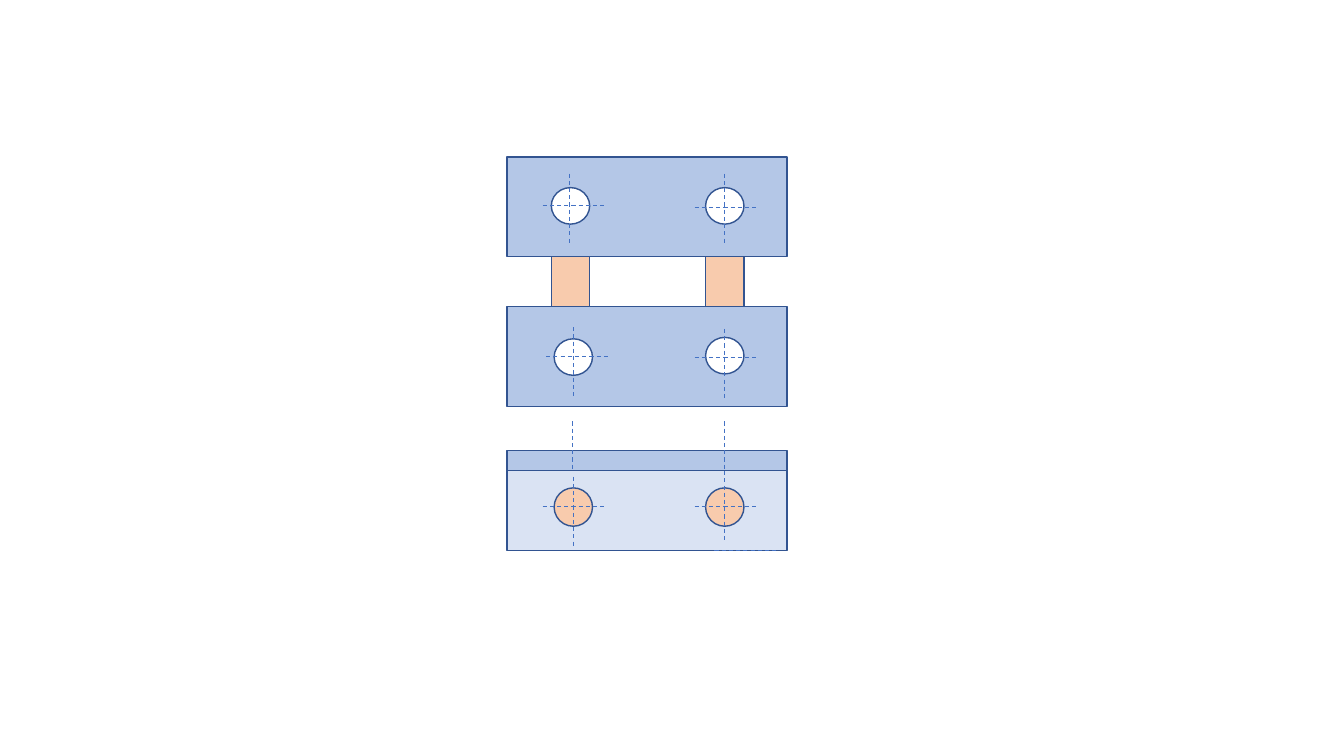
from lxml.etree import SubElement
from pptx import Presentation
from pptx.dml.color import RGBColor as RGB
from pptx.enum.dml import MSO_LINE_DASH_STYLE as Dash
from pptx.enum.shapes import MSO_CONNECTOR as Conn, MSO_SHAPE as Kind
from pptx.oxml.ns import qn
from pptx.util import Pt

# Colours
EDGE, AXIS = "325491", "4472C4"
BLUE, PALE, PEACH, WHITE = "B4C7E7", "DAE3F3", "F8CBAD", "FFFFFF"

# Shared measures in points
LEFT, WIDE, TALL = 362.2, 200, 71.3
COL1, COL2 = 393.8, 504    # left edges of the bars and holes
BORE, HIGH = 27.4, 26.1    # hole width and height
MID1, MID2 = 409.6, 517.7  # vertical axes
ARM1, ARM2 = 387.6, 496.1  # left ends of the cross axes
RISE, RUN = 49.5, 44       # axis lengths


def paint(line, color, width):
    line.color.rgb = RGB.from_string(color)
    line.width = Pt(width)


def part(slide, kind, x, y, w, h, color):
    shape = slide.shapes.add_shape(kind, Pt(x), Pt(y), Pt(w), Pt(h))
    shape.shadow.inherit = False
    shape.fill.solid()
    shape.fill.fore_color.rgb = RGB.from_string(color)
    paint(shape.line, EDGE, 1)


def plate(slide, y, h=TALL, color=BLUE):
    part(slide, Kind.RECTANGLE, LEFT, y, WIDE, h, color)


def hole(slide, x, y, h=HIGH, color=WHITE):
    part(slide, Kind.OVAL, x, y, BORE, h, color)


def axis(slide, x, y, dx=0, dy=0):
    line = slide.shapes.add_connector(
        Conn.STRAIGHT, Pt(x), Pt(y), Pt(x + dx), Pt(y + dy))
    paint(line.line, AXIS, 0.75)
    line.line.dash_style = Dash.DASH
    SubElement(line._element.spPr, qn("a:effectLst"))


def main():
    deck = Presentation()
    deck.slide_width, deck.slide_height = Pt(960), Pt(540)
    slide = deck.slides.add_slide(deck.slide_layouts[6])

    # Upper plates joined by two bars
    plate(slide, 112.1)
    plate(slide, 218.9)
    for x in (COL2, COL1):
        part(slide, Kind.RECTANGLE, x, 183.2, BORE, 35.7, PEACH)
    for x, y in ((COL1, 134), (COL2, 134), (COL1 + 2, 242), (COL2, 241)):
        hole(slide, x, y)

    # Top edge of the lower plate
    plate(slide, 321.8, 14.4)

    # Axes of the upper plates
    for x, y in ((MID1 - 2.6, 124), (MID2, 124), (MID1, 233.7),
                 (MID2, 235), (MID1 - 0.6, 301), (MID2, 301)):
        axis(slide, x, y, dy=RISE)
    for x, y in ((ARM2, 255.2), (ARM1, 146.8),
                 (ARM1 + 2.5, 254.6), (ARM2, 147.9)):
        axis(slide, x, y, dx=RUN)

    # Lower plate with pins and axes
    plate(slide, 336.2, 56.9, PALE)
    for x in (COL1 + 2, COL2):
        hole(slide, x, 348.5, BORE, PEACH)
    for x, y in ((ARM1, 362), (510.3, 393.1), (ARM2, 361.7)):
        axis(slide, x, y, dx=RUN)
    for x, y in ((MID2, 336.5), (MID1, 340.4)):
        axis(slide, x, y, dy=RISE)

    deck.save("out.pptx")


if __name__ == "__main__":
    main()
